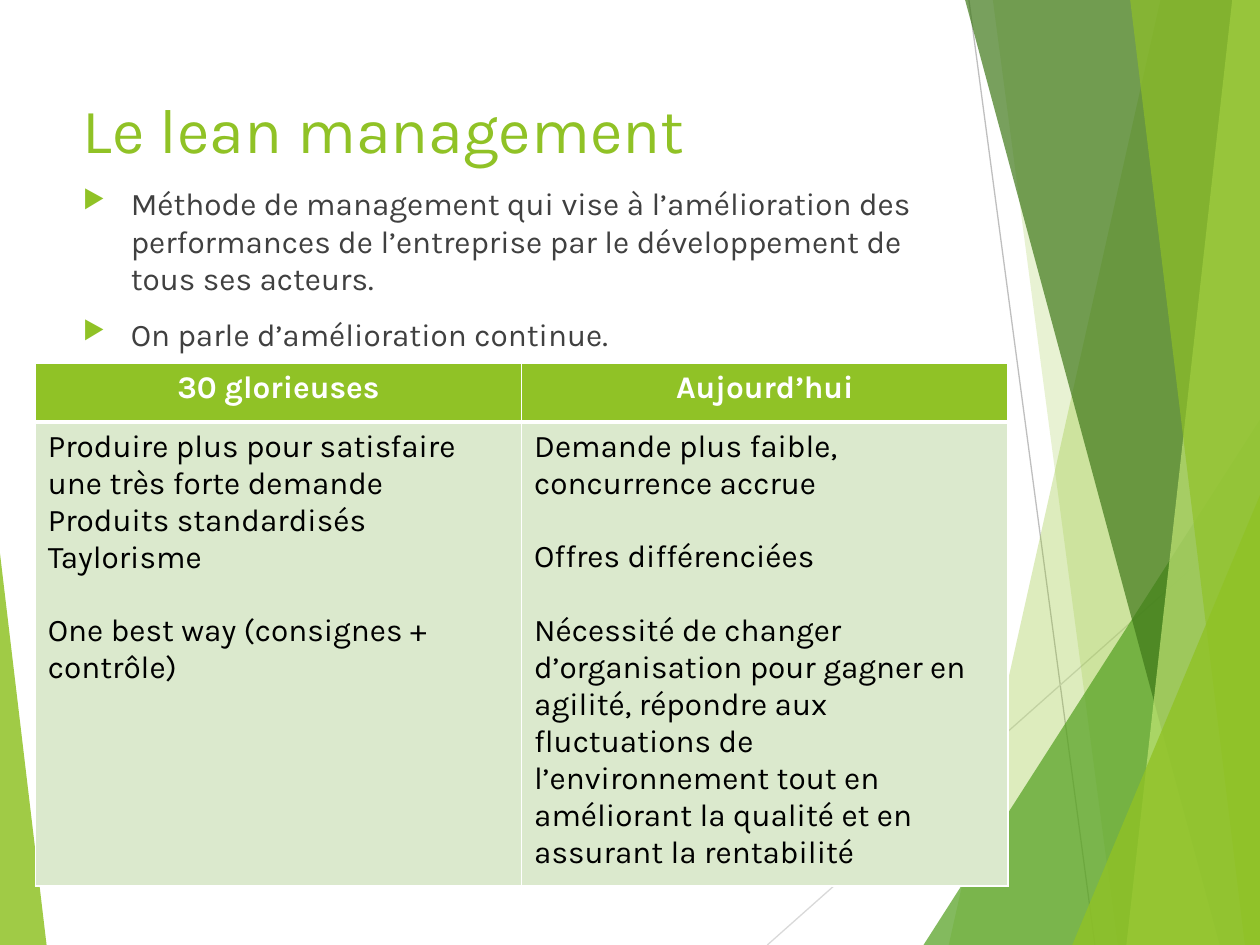
from dataclasses import dataclass
from typing import Any

from lxml import etree
from pptx import Presentation
from pptx.dml.color import RGBColor
from pptx.enum.shapes import MSO_CONNECTOR, MSO_SHAPE
from pptx.enum.text import MSO_ANCHOR, PP_ALIGN
from pptx.oxml.ns import qn
from pptx.util import Inches, Pt

STRAIGHT = MSO_CONNECTOR.STRAIGHT
TRIANGLE = MSO_SHAPE.ISOSCELES_TRIANGLE
TOP = MSO_ANCHOR.TOP
CENTER, LEFT = PP_ALIGN.CENTER, PP_ALIGN.LEFT

WIDTH, HEIGHT = Inches(10), Inches(7.5)
COLUMNS, ROWS = 1000, 750
GREEN, WHITE, PALE = "90C226", "FFFFFF", "DBE9CD"
FONT = "Karla"
BLANK_LINE = Pt(21)

TITLE_FORMAT = {"size": Pt(36), "name": FONT}
BODY_FORMAT = {"size": Pt(18), "name": FONT}
HEADER_FORMAT = {**BODY_FORMAT, "bold": True}
CELL_FORMAT = {**BODY_FORMAT, "bold": False}


@dataclass(frozen=True)
class Ray:
    """A thin line between two grid points."""
    start: tuple[int, int]
    end: tuple[int, int]
    color: str


@dataclass(frozen=True)
class Blade:
    """A full-height band from a slanted left edge to the right side."""
    top: int
    bottom: int
    color: str
    opacity: int


@dataclass(frozen=True)
class Wedge:
    """A right triangle standing on the bottom edge."""
    left: int
    top: int
    width: int
    apex: int
    color: str
    opacity: int


@dataclass(frozen=True)
class Entry:
    """A paragraph with the gap above it."""
    text: str
    gap: int = 0


@dataclass(frozen=True)
class Era:
    """One column of the comparison."""
    heading: str
    traits: tuple[Entry, ...]


RAYS = (
    Ray((769, 0), (869, ROWS), "BFBFBF"),
    Ray((COLUMNS, 403), (609, ROWS), "D9D9D9"),
)
FACETS = (
    Blade(921, 753, GREEN, 30),
    Blade(788, 887, GREEN, 20),
    Wedge(733, 333, 267, 1, "54A021", 72),
    Blade(766, 968, "3F7819", 70),
    Blade(978, 894, "C0E474", 70),
    Blade(897, 988, GREEN, 65),
    Wedge(851, 393, 149, 1, GREEN, 80),
    Wedge(0, 439, 37, 0, GREEN, 85),
)
TITLE = Entry("Le lean management")
POINTS = (
    Entry("Méthode de management qui vise à l’amélioration des performances "
          "de l’entreprise par le développement de tous ses acteurs.", Pt(10)),
    Entry("On parle d’amélioration continue.", Pt(10)),
)
ERAS = (
    Era("30 glorieuses", (
        Entry("Produire plus pour satisfaire une très forte demande"),
        Entry("Produits standardisés"),
        Entry("Taylorisme"),
        Entry("One best way (consignes + contrôle)", BLANK_LINE),
    )),
    Era("Aujourd’hui", (
        Entry("Demande plus faible, concurrence accrue"),
        Entry("Offres différenciées", BLANK_LINE),
        Entry("Nécessité de changer d’organisation pour gagner en agilité, "
              "répondre aux fluctuations de l’environnement tout en "
              "améliorant la qualité et en assurant la rentabilité", BLANK_LINE),
    )),
)


def across(columns: float) -> int:
    """Convert grid columns to a length."""
    return int(WIDTH * columns / COLUMNS)


def down(rows: float) -> int:
    """Convert grid rows to a length."""
    return int(HEIGHT * rows / ROWS)


def paint(fill: Any, color: str, opacity: int = 100) -> None:
    """Apply a solid colour with an opacity in percent."""
    fill.solid()
    fill.fore_color.rgb = RGBColor.from_string(color)
    if opacity < 100:
        tint = fill._xPr.find(".//" + qn("a:srgbClr"))
        etree.SubElement(tint, qn("a:alpha"), val=str(opacity * 1000))


def draw_ray(shapes: Any, ray: Ray) -> None:
    """Draw a thin line without shadow."""
    (x1, y1), (x2, y2) = ray.start, ray.end
    line = shapes.add_connector(STRAIGHT, across(x1), down(y1), across(x2), down(y2))
    line.line.width = Pt(0.75)
    paint(line.line.fill, ray.color)
    etree.SubElement(line._element.spPr, qn("a:effectLst"))


def draw_facet(shapes: Any, facet: Blade | Wedge) -> None:
    """Draw one translucent decorative facet."""
    if isinstance(facet, Blade):
        builder = shapes.build_freeform(across(facet.top), 0)
        builder.add_line_segments(
            [(WIDTH, 0), (WIDTH, HEIGHT), (across(facet.bottom), HEIGHT)])
        shape = builder.convert_to_shape()
    else:
        shape = shapes.add_shape(TRIANGLE, across(facet.left), down(facet.top),
                                 across(facet.width), down(ROWS - facet.top))
        shape.adjustments[0] = facet.apex
    shape.shadow.inherit = False
    shape.line.fill.background()
    paint(shape.fill, facet.color, facet.opacity)


def write(frame: Any, entries: tuple[Entry, ...], style: dict[str, Any],
          color: str, align: Any = LEFT) -> None:
    """Fill a text frame with formatted paragraphs."""
    frame.word_wrap = True
    for index, entry in enumerate(entries):
        paragraph = frame.add_paragraph() if index else frame.paragraphs[0]
        paragraph.alignment = align
        paragraph.space_before = entry.gap
        run = paragraph.add_run()
        run.text = entry.text
        for attribute, value in style.items():
            setattr(run.font, attribute, value)
        paint(run.font.fill, color)


def add_bullet(paragraph: Any) -> None:
    """Give a paragraph a hanging green arrow bullet."""
    properties = paragraph._p.get_or_add_pPr()
    properties.set("marL", str(across(38)))
    properties.set("indent", str(-across(38)))
    bullet_color = etree.SubElement(properties, qn("a:buClr"))
    etree.SubElement(bullet_color, qn("a:srgbClr"), val=GREEN)
    etree.SubElement(properties, qn("a:buSzPct"), val="80000")
    etree.SubElement(properties, qn("a:buChar"), char="▶")


def draw_text(shapes: Any, top: int, height: int, entries: tuple[Entry, ...],
              style: dict[str, Any], color: str) -> Any:
    """Add a text box in the main column and return its frame."""
    frame = shapes.add_textbox(across(56), down(top), across(705), down(height)).text_frame
    frame.vertical_anchor = TOP
    write(frame, entries, style, color)
    return frame


def dress_cell(cell: Any, color: str, bottom: float) -> None:
    """Set white borders and a solid fill on a cell."""
    properties = cell._tc.get_or_add_tcPr()
    for side, width in {"L": 1, "R": 1, "T": 1, "B": bottom}.items():
        border = etree.SubElement(properties, qn(f"a:ln{side}"), w=str(Pt(width)))
        solid = etree.SubElement(border, qn("a:solidFill"))
        etree.SubElement(solid, qn("a:srgbClr"), val=WHITE)
    paint(cell.fill, color)


def draw_comparison(shapes: Any, eras: tuple[Era, ...]) -> None:
    """Draw the table that compares the eras."""
    table = shapes.add_table(2, len(eras), across(28), down(288),
                             across(772), down(409)).table
    for row, height in zip(table.rows, (47, 362)):
        row.height = down(height)
    for column, era in enumerate(eras):
        heading, traits = table.cell(0, column), table.cell(1, column)
        dress_cell(heading, GREEN, 3)
        write(heading.text_frame, (Entry(era.heading),), HEADER_FORMAT, WHITE, CENTER)
        dress_cell(traits, PALE, 1)
        write(traits.text_frame, era.traits, CELL_FORMAT, "000000")


def main() -> None:
    """Build and save the slide."""
    deck = Presentation()
    deck.slide_width, deck.slide_height = WIDTH, HEIGHT
    shapes = deck.slides.add_slide(deck.slide_layouts[6]).shapes
    for ray in RAYS:
        draw_ray(shapes, ray)
    for facet in FACETS:
        draw_facet(shapes, facet)
    draw_text(shapes, 67, 144, (TITLE,), TITLE_FORMAT, GREEN)
    body = draw_text(shapes, 141, 424, POINTS, BODY_FORMAT, "404040")
    for paragraph in body.paragraphs:
        add_bullet(paragraph)
    draw_comparison(shapes, ERAS)
    deck.save("out.pptx")


if __name__ == "__main__":
    main()
